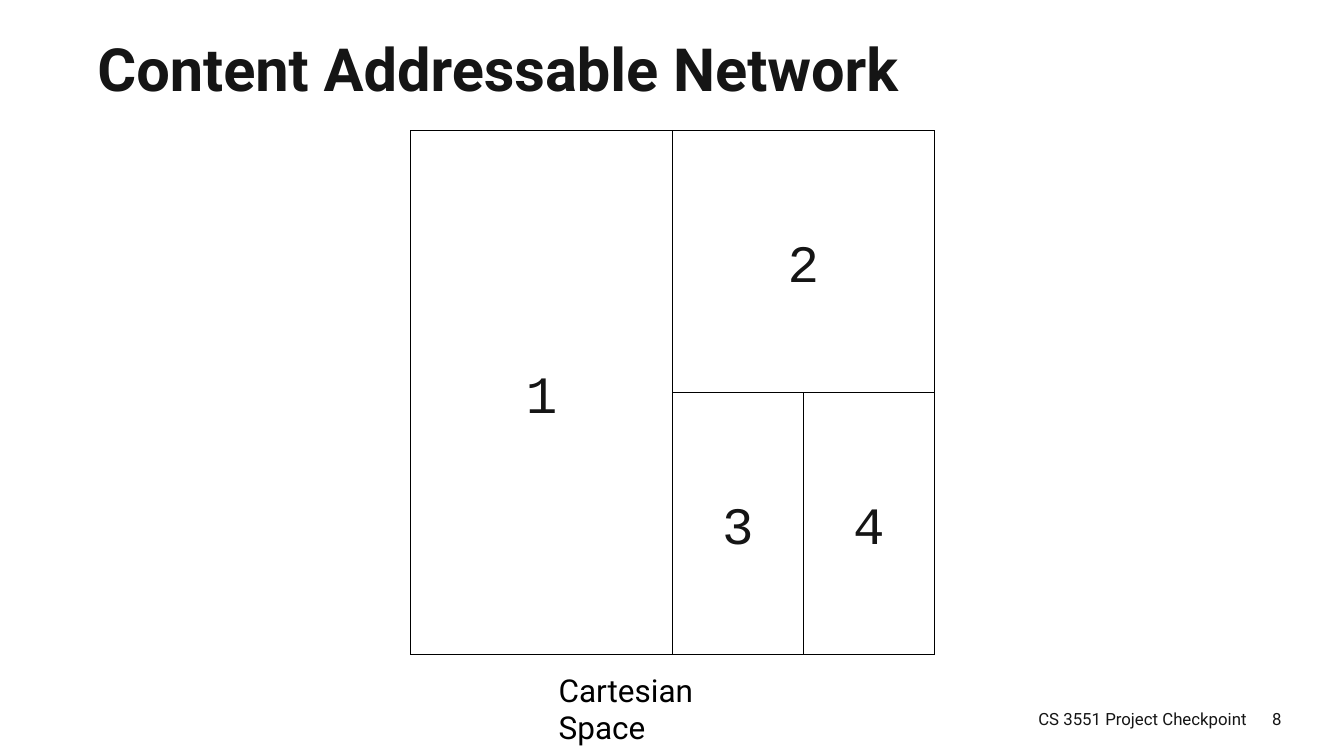
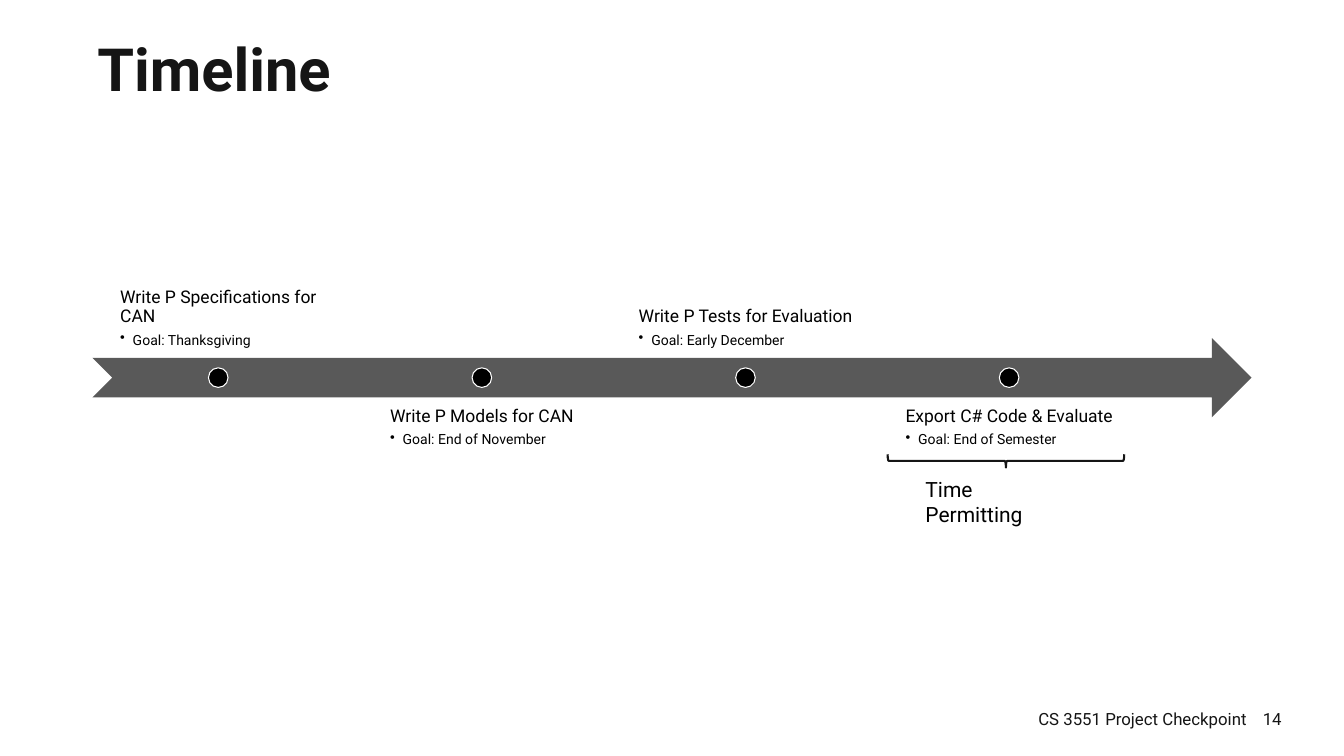
import pptx
import pptx.dml.color
import pptx.enum.shapes
import pptx.enum.text
import pptx.util
from lxml import etree

Pt = pptx.util.Pt
SHAPE = pptx.enum.shapes.MSO_SHAPE
ALIGN = pptx.enum.text.PP_ALIGN
ANCHOR = pptx.enum.text.MSO_ANCHOR

# Shared style
INK, BLACK, WHITE, ARROW_GREY = "151515", "000000", "FFFFFF", "595959"
SANS, MONO = "Roboto", "Courier New"
TITLE_BOX = (132, 53, 1656, 101)
FOOTER_BOX = (1140, 998, 648, 58)
NUMBER_BOX = (1788, 998, 50, 58)


def rgb(code):
    return pptx.dml.color.RGBColor.from_string(code)


def add_box(slide, kind, box, fill=None, line=None, weight=1.5):
    """Add a preset shape; no fill or line unless a colour is given."""
    shape = slide.shapes.add_shape(kind, *map(Pt, box))
    shape.shadow.inherit = False
    if fill:
        shape.fill.solid()
        shape.fill.fore_color.rgb = rgb(fill)
    else:
        shape.fill.background()
    if line:
        shape.line.color.rgb = rgb(line)
        shape.line.width = Pt(weight)
    else:
        shape.line.fill.background()
    return shape


def write(frame, text, size=24, font=SANS, color=INK, bold=False, align=ALIGN.LEFT,
          anchor=ANCHOR.TOP, spacing=None, after=None, bullet_indent=None, append=False):
    """Write one paragraph into a text frame and format it."""
    frame.word_wrap = True
    frame.vertical_anchor = anchor
    paragraph = frame.add_paragraph() if append else frame.paragraphs[0]
    paragraph.alignment = align
    if spacing:
        paragraph.line_spacing = spacing
    if after is not None:
        paragraph.space_after = Pt(after)
    if bullet_indent:
        paragraph.level = 1
        properties = paragraph._p.get_or_add_pPr()
        properties.set("marL", str(Pt(bullet_indent)))
        properties.set("indent", str(-Pt(bullet_indent)))
        bullet = etree.SubElement(properties, pptx.oxml.ns.qn("a:buChar"))
        bullet.set("char", "•")
    run = paragraph.add_run()
    run.text = text
    run.font.size = Pt(size)
    run.font.name = font
    run.font.bold = bold
    run.font.color.rgb = rgb(color)


def add_text(slide, box, text, **style):
    write(slide.shapes.add_textbox(*map(Pt, box)).text_frame, text, **style)


def add_titled_slide(deck, title, number):
    """Start a slide with its title and footer."""
    slide = deck.slides.add_slide(deck.slide_layouts[6])
    add_text(slide, TITLE_BOX, title, size=85, bold=True, anchor=ANCHOR.MIDDLE, spacing=0.9)
    for box, text in ((FOOTER_BOX, "CS 3551 Project Checkpoint"), (NUMBER_BOX, str(number))):
        add_text(slide, box, text, align=ALIGN.RIGHT, anchor=ANCHOR.MIDDLE)
    return slide


def draw_cartesian_space(slide, box):
    """Split a square into zones, each given as fractions of the side."""
    left, top, side = box
    add_box(slide, SHAPE.RECTANGLE, (left, top, side, side), line=BLACK)
    zones = {
        "1": (0, 0, 0.5, 1),
        "2": (0.5, 0, 0.5, 0.5),
        "3": (0.5, 0.5, 0.25, 0.5),
        "4": (0.75, 0.5, 0.25, 0.5),
    }
    for node, (x, y, width, height) in zones.items():
        zone = add_box(slide, SHAPE.RECTANGLE,
                       (left + x * side, top + y * side, width * side, height * side),
                       line=BLACK)
        write(zone.text_frame, node, size=75, font=MONO,
              align=ALIGN.CENTER, anchor=ANCHOR.MIDDLE)
    # Caption below the square
    add_text(slide, (left + 204, top + side + 20, 338, 62), "Cartesian Space",
             size=45, color=BLACK)


def draw_milestone(slide, box, task, goal, anchor):
    label = add_box(slide, SHAPE.RECTANGLE, box)
    frame = label.text_frame
    frame.margin_left = frame.margin_right = Pt(14)
    frame.margin_top = frame.margin_bottom = Pt(14)
    # Centre the left-aligned block across the label
    frame._txBody.bodyPr.set("anchorCtr", "1")
    write(frame, task, size=25, color=BLACK, anchor=anchor, spacing=0.9, after=9)
    write(frame, goal, size=20, color=BLACK, anchor=anchor, spacing=0.9, after=3,
          bullet_indent=18, append=True)


def draw_timeline(slide, box, milestones):
    """Arrow across the middle, with labels above and below it in turn."""
    left, top, width, height = box
    band = height / 2.5
    middle = top + height / 2
    label_width, step, dot = 358.6, 376.6, 28
    add_box(slide, SHAPE.NOTCHED_RIGHT_ARROW,
            (left, middle - band / 2, width, band), fill=ARROW_GREY)
    for index, (task, goal) in enumerate(milestones):
        label_left = left + 0.5 + index * step
        below = index % 2 == 1
        label_top = top + height - band if below else top
        draw_milestone(slide, (label_left, label_top, label_width, band), task, goal,
                       ANCHOR.TOP if below else ANCHOR.BOTTOM)
        add_box(slide, SHAPE.OVAL,
                (label_left + (label_width - dot) / 2, middle - dot / 2, dot, dot),
                fill=BLACK, line=WHITE)


def draw_bracketed_note(slide, box, note):
    """Brace along the top of the box, with a note under it."""
    left, top, width, depth = box
    brace = add_box(slide, SHAPE.RIGHT_BRACE,
                    (left + (width - depth) / 2, top + (depth - width) / 2, depth, width),
                    line=INK, weight=3)
    brace.rotation = 90
    add_text(slide, (left + 47, top + 28, 218, 44), note, size=30, color=BLACK)


def main():
    deck = pptx.Presentation()
    deck.slide_width, deck.slide_height = Pt(1920), Pt(1080)

    network = add_titled_slide(deck, "Content Addressable Network", 8)
    draw_cartesian_space(network, (587, 187, 747.5))

    timeline = add_titled_slide(deck, "Timeline", 14)
    draw_timeline(timeline, (132, 398, 1656, 283), [
        ("Write P Specifications for CAN", "Goal: Thanksgiving"),
        ("Write P Models for CAN", "Goal: End of November"),
        ("Write P Tests for Evaluation", "Goal: Early December"),
        ("Export C# Code & Evaluate", "Goal: End of Semester"),
    ])
    draw_bracketed_note(timeline, (1268, 649, 338, 19), "Time Permitting")

    deck.save("out.pptx")


if __name__ == "__main__":
    main()
